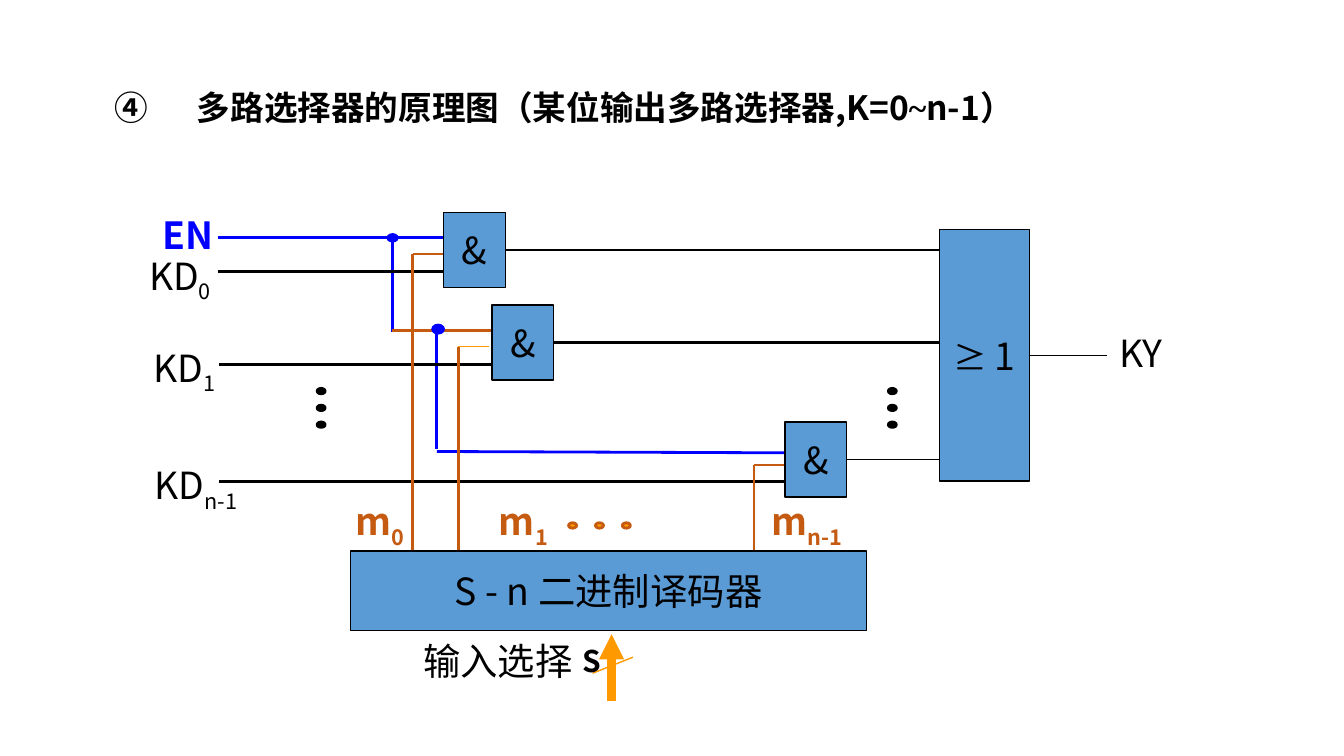
from lxml import etree
from pptx import Presentation
from pptx.dml.color import RGBColor
from pptx.enum import shapes, text
from pptx.oxml import ns
from pptx.util import Pt

COLORS = {"black": "000000", "blue": "0000FF", "brown": "C55A11",
          "orange": "FF9900", "box": "5B9BD5"}
FONT = "Noto Sans CJK JP"

TITLE = [(" 多路选择器的原理图（某位输出多路选择器,K=0", {}),
         ("~", {"font": "Times New Roman"}), ("n-1）", {})]

GATE_SIZE = (33.1, 40.3)
GATES = [(237.6, 113.8, 1.5), (263.5, 163.4, 1.5), (420.5, 226.1, 0.75)]
OR_GATE = (503.3, 123.1, 48.2, 134.6)
DECODER = (187.9, 295.2, 276.5, 42.5)

WIRES = [
    ("blue", 1.5, [(116.6, 127.4, 237.6, 127.4), (210.2, 126.7, 210.2, 177.8),
                   (234, 177.1, 234, 240.5), (234, 241.9, 420.5, 242.6)]),
    ("black", 1.5, [(116.6, 145.4, 237.6, 145.4), (117.4, 195.1, 263.5, 195.1),
                    (117.4, 257.8, 420.5, 257.8)]),
    ("brown", 1.5, [(210.2, 177.1, 263.5, 177.1),
                    (221, 136.1, 237.6, 136.1), (221, 136.1, 221, 295.2),
                    (245.5, 185.8, 245.5, 295.2),
                    (403.9, 249.1, 420.5, 249.1), (403.9, 249.1, 403.9, 295.2)]),
    ("orange", 0.75, [(245.5, 185.8, 262.1, 185.8), (317.5, 360.7, 339.1, 352.1)]),
]

LABELS = [
    ("EN", "", (76.3, 113.8, 49, 31), {"color": "blue", "bold": True}),
    ("KD", "0", (69.8, 135.4, 53.3, 31.7), {}),
    ("KD", "1", (74.2, 185, 49, 31.7), {}),
    ("KD", "n-1", (74.9, 247.7, 60.5, 31.7), {}),
    ("m", "0", (181.4, 267.1, 44.6, 31), {"color": "brown", "bold": True}),
    ("m", "1", (245.5, 267.1, 69.8, 31), {"color": "brown", "bold": True}),
    ("m", "n-1", (399.6, 267.1, 65.5, 31), {"color": "brown", "bold": True}),
    ("KY", "", (591.1, 177.1, 40.3, 31.7), {}),
    (" 输入选择", "", (199.4, 342, 130.3, 31), {}),
    ("S", "", (304.6, 344.2, 24.5, 26.6), {"size": 16, "bold": True}),
]

JUNCTIONS = [(207.4, 125.3, 0.75), (231.8, 174.2, 1.5)]
ELLIPSES = [(169.9, 208.1, 0, 9, "black", "black"),
            (304.6, 280.1, 14.4, 0, "orange", "brown"),
            (475.9, 208.1, 0, 9, "black", "black")]


def rgb(name):
    return RGBColor.from_string(COLORS[name])


def write(shape, runs, size=20, color="black", bold=False,
          align=text.PP_ALIGN.CENTER, anchor=text.MSO_ANCHOR.TOP, wrap=False):
    frame = shape.text_frame
    frame.word_wrap = wrap
    frame.vertical_anchor = anchor
    if anchor == text.MSO_ANCHOR.TOP:
        frame.margin_top = 0
    paragraph = frame.paragraphs[0]
    paragraph.alignment = align
    for content, extra in runs:
        run = paragraph.add_run()
        run.text = content
        font = run.font
        font.size = Pt(extra.get("size", size))
        font.bold = bold
        font.color.rgb = rgb(color)
        font.name = extra.get("font", FONT)
        properties = run._r.get_or_add_rPr()
        east_asian = etree.SubElement(properties, ns.qn("a:ea"))
        east_asian.set("typeface", FONT)
        if "baseline" in extra:
            properties.set("baseline", str(extra["baseline"] * 1000))
    return paragraph


def add_text(box, runs, **style):
    shape = slide.shapes.add_textbox(*map(Pt, box))
    return write(shape, runs, **style)


def add_filled(kind, box, fill="box", line="black", width=0.75):
    shape = slide.shapes.add_shape(kind, *map(Pt, box))
    shape.shadow.inherit = False
    shape.fill.solid()
    shape.fill.fore_color.rgb = rgb(fill)
    shape.line.color.rgb = rgb(line)
    shape.line.width = Pt(width)
    return shape


def add_block(box, runs):
    shape = add_filled(shapes.MSO_SHAPE.RECTANGLE, box)
    write(shape, runs, anchor=text.MSO_ANCHOR.MIDDLE)
    return shape


def add_wire(ends, color, width):
    wire = slide.shapes.add_connector(shapes.MSO_CONNECTOR.STRAIGHT, *map(Pt, ends))
    wire.line.color.rgb = rgb(color)
    wire.line.width = Pt(width)
    etree.SubElement(wire._element.spPr, ns.qn("a:effectLst"))
    return wire


presentation = Presentation()
presentation.slide_width, presentation.slide_height = Pt(720), Pt(405)
slide = presentation.slides.add_slide(presentation.slide_layouts[6])

title = add_text((54, 49, 666, 31.7), TITLE, size=18, bold=True,
                 align=text.PP_ALIGN.LEFT, wrap=True)
title.line_spacing = 0.9
title_properties = title._p.get_or_add_pPr()
title_properties.set("marL", str(Pt(40.3)))
title_properties.set("indent", str(-Pt(40.3)))
numbering = etree.SubElement(title_properties, ns.qn("a:buAutoNum"))
numbering.set("type", "circleNumDbPlain")
numbering.set("startAt", "4")

for color, width, segments in WIRES:
    for ends in segments:
        add_wire(ends, color, width)

or_left, or_top, or_width, or_height = OR_GATE
or_gate = add_block(OR_GATE, [("≥", {"size": 18}), (" 1", {})])
gate_width, gate_height = GATE_SIZE
for left, top, width in GATES:
    gate = add_block((left, top, *GATE_SIZE), [("&", {})])
    middle = top + gate_height / 2
    output = add_wire((left + gate_width, middle, or_left, middle), "black", width)
    output.begin_connect(gate, 3)

or_middle = or_top + or_height / 2
result = add_wire((or_left + or_width, or_middle, 593.3, or_middle), "black", 0.75)
result.begin_connect(or_gate, 3)
add_block(DECODER, [("S - n 二进制译码器", {})])

for main, subscript, box, style in LABELS:
    runs = [(main, {})]
    if subscript:
        runs.append((subscript, {"baseline": -25}))
    add_text(box, runs, **style)

for left, top, width in JUNCTIONS:
    add_filled(shapes.MSO_SHAPE.OVAL, (left, top, 5.8, 4.3), "blue", "blue", width)
for left, top, step_x, step_y, fill, line in ELLIPSES:
    for index in range(3):
        box = (left + index * step_x, top + index * step_y, 4.3, 2.9)
        add_filled(shapes.MSO_SHAPE.OVAL, box, fill, line, 1.5)

select_arrow = add_wire((327.6, 375.8, 327.6, 339.8), "orange", 4.5)
head = etree.SubElement(select_arrow.line._get_or_add_ln(), ns.qn("a:tailEnd"))
head.set("type", "triangle")

presentation.save("out.pptx")
